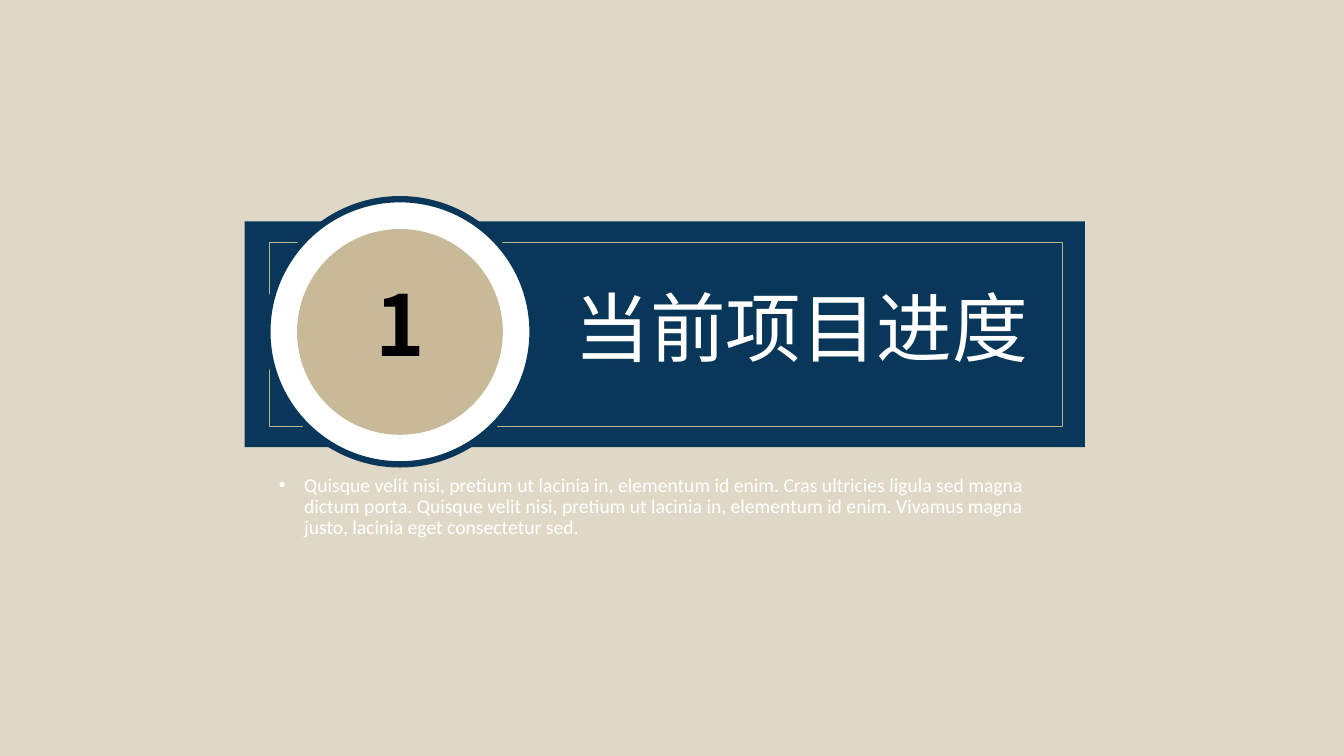
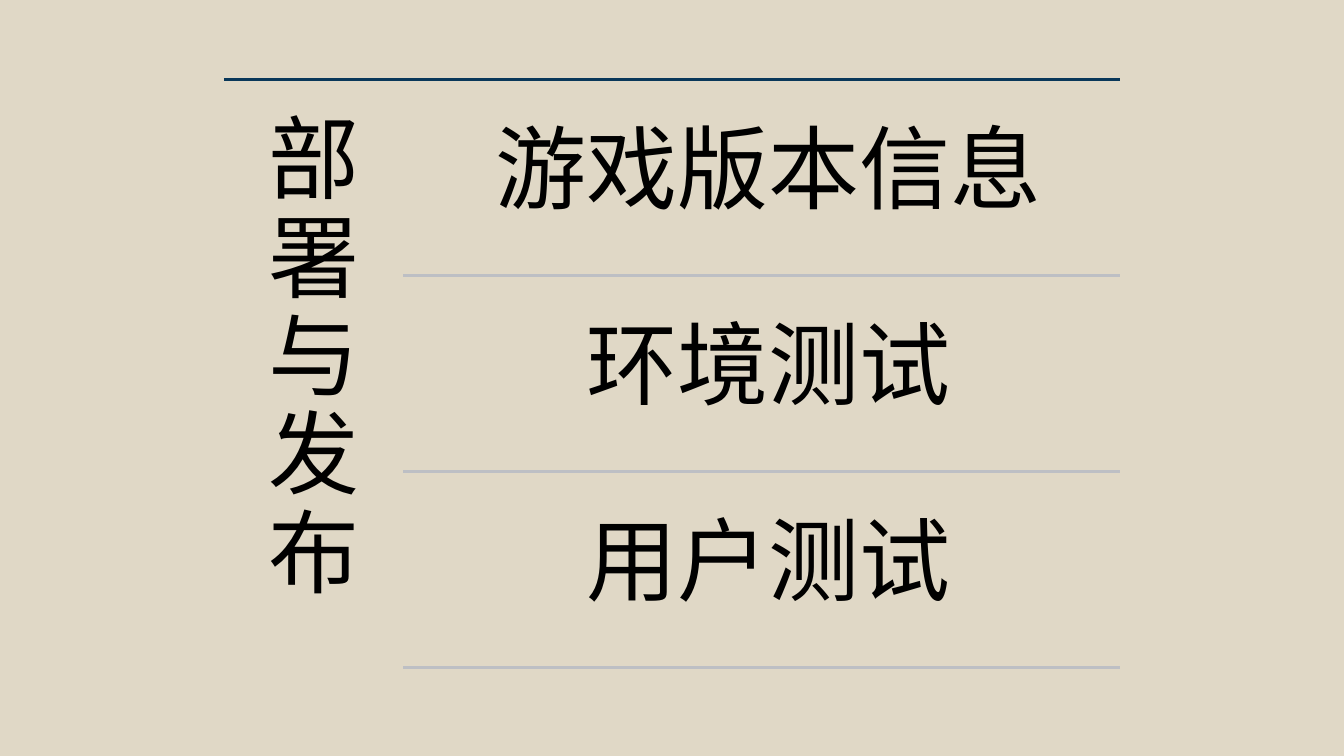
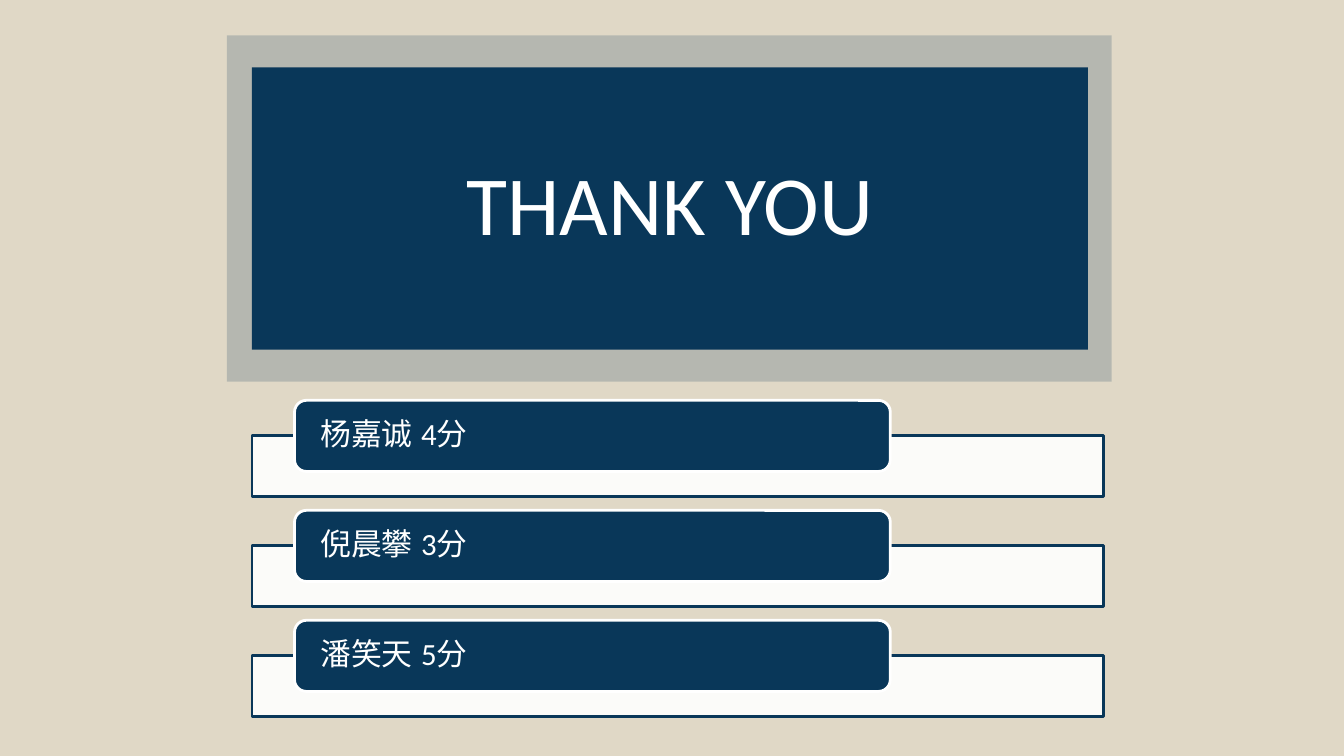
import pptx
import pptx.dml.color
import pptx.enum.shapes
import pptx.enum.text
import pptx.oxml
import pptx.oxml.ns
import pptx.util

Pt = pptx.util.Pt
RGBColor = pptx.dml.color.RGBColor
SHAPES = pptx.enum.shapes.MSO_SHAPE
ALIGN = pptx.enum.text.PP_ALIGN
ANCHOR = pptx.enum.text.MSO_ANCHOR
qn = pptx.oxml.ns.qn

SAND = RGBColor(0xE0, 0xD8, 0xC6)
NAVY = RGBColor(0x09, 0x37, 0x59)
TAN = RGBColor(0xC8, 0xB9, 0x98)
GOLD = RGBColor(0xBB, 0xB4, 0x87)
GRAY = RGBColor(0xBD, 0xBF, 0xC4)
WHITE = RGBColor(0xFF, 0xFF, 0xFF)
BLACK = RGBColor(0x00, 0x00, 0x00)

LATIN = "Calibri"
CHINESE = "Noto Sans CJK SC"
DIAGRAM = "Noto Sans CJK JP"
INSETS = (7.2, 3.6, 7.2, 3.6)


def add_element(parent, tag, **attributes):
    element = pptx.oxml.parse_xml(f"<{tag} {pptx.oxml.ns.nsdecls('a')}/>")
    for name, value in attributes.items():
        element.set(name, value)
    parent.append(element)


class Deck:
    def __init__(self):
        self.presentation = pptx.Presentation()
        self.presentation.slide_width = Pt(960)
        self.presentation.slide_height = Pt(540)
        background = self.presentation.slide_master.background.fill
        background.solid()
        background.fore_color.rgb = SAND
        self.slide = None

    def new_slide(self):
        self.slide = self.presentation.slides.add_slide(self.presentation.slide_layouts[6])

    def shape(self, kind, left, top, width, height, fill=None, opacity=100, line=None, weight=2):
        shape = self.slide.shapes.add_shape(kind, Pt(left), Pt(top), Pt(width), Pt(height))
        shape.shadow.inherit = False
        if fill is None:
            shape.fill.background()
        else:
            shape.fill.solid()
            shape.fill.fore_color.rgb = fill
            if opacity < 100:
                color = shape._element.spPr.find(f"{qn('a:solidFill')}/{qn('a:srgbClr')}")
                add_element(color, "a:alpha", val=str(opacity * 1000))
        if line is None:
            shape.line.fill.background()
        else:
            shape.line.color.rgb = line
            shape.line.width = Pt(weight)
        return shape

    def rule(self, left, right, top, color):
        connector = self.slide.shapes.add_connector(
            pptx.enum.shapes.MSO_CONNECTOR.STRAIGHT, Pt(left), Pt(top), Pt(right), Pt(top))
        connector.line.color.rgb = color
        connector.line.width = Pt(2)
        add_element(connector._element.spPr, "a:effectLst")

    def label(self, shape, text, size, color=WHITE, font=LATIN, chinese=CHINESE, bold=False,
              align=ALIGN.CENTER, anchor=ANCHOR.MIDDLE, insets=INSETS, spacing=0.9):
        frame = shape.text_frame
        frame.word_wrap = True
        frame.vertical_anchor = anchor
        frame.margin_left, frame.margin_top, frame.margin_right, frame.margin_bottom = map(Pt, insets)
        paragraph = frame.paragraphs[0]
        paragraph.alignment = align
        paragraph.line_spacing = spacing
        run = paragraph.add_run()
        run.text = text
        run.font.name = font
        run.font.size = Pt(size)
        run.font.bold = bold
        run.font.color.rgb = color
        add_element(run._r.rPr, "a:ea", typeface=chinese)
        return paragraph

    def text(self, left, top, width, height, text, size, **style):
        box = self.slide.shapes.add_textbox(Pt(left), Pt(top), Pt(width), Pt(height))
        return self.label(box, text, size, **style)

    def bullet(self, paragraph, indent):
        properties = paragraph._p.get_or_add_pPr()
        properties.set("marL", str(Pt(indent)))
        properties.set("indent", str(-Pt(indent)))
        add_element(properties, "a:buFont", typeface="Arial")
        add_element(properties, "a:buChar", char="•")


def section_slide(deck):
    deck.new_slide()
    deck.shape(SHAPES.RECTANGLE, 174.8, 158.2, 600.2, 161.2, NAVY)
    deck.shape(SHAPES.RECTANGLE, 192.4, 173, 566.6, 131.8, line=GOLD, weight=0.5)
    deck.shape(SHAPES.OVAL, 191, 142.3, 189.4, 189.4, WHITE, line=NAVY, weight=4.5)
    deck.shape(SHAPES.OVAL, 212.2, 163.6, 147, 147, TAN)
    summary = deck.text(
        192.2, 336.2, 566.6, 118,
        "Quisque velit nisi, pretium ut lacinia in, elementum id enim. "
        "Cras ultricies ligula sed magna dictum porta. Quisque velit nisi, "
        "pretium ut lacinia in, elementum id enim. Vivamus magna justo, "
        "lacinia eget consectetur sed.",
        14, align=ALIGN.LEFT, anchor=ANCHOR.TOP)
    deck.bullet(summary, 18)
    deck.text(375, 187.2, 394.6, 100, "当前项目进度", 54)
    deck.text(212.2, 160, 147, 150.5, "1", 60, color=BLACK, font=CHINESE, bold=True)


def release_slide(deck):
    deck.new_slide()
    style = dict(color=BLACK, font=DIAGRAM, chinese=DIAGRAM, anchor=ANCHOR.TOP,
                 insets=(19.4, 24, 19.4, 19.4), spacing=Pt(70.2))
    deck.rule(160, 800, 56.6, NAVY)
    deck.text(160, 56.6, 128, 427, "部署与发布", 65, **style)
    for index, step in enumerate(("游戏版本信息", "环境测试", "用户测试")):
        top = 63.4 + 140 * index
        deck.text(297.6, top, 502.4, 133.2, step, 65, **style)
        deck.rule(288, 800, top + 133.2, GRAY)


def closing_slide(deck):
    deck.new_slide()
    deck.shape(SHAPES.RECTANGLE, 162, 25.2, 632, 247.5, NAVY, opacity=20)
    banner = deck.shape(SHAPES.RECTANGLE, 180, 48.2, 597, 201.6, NAVY)
    deck.label(banner, "THANK YOU", 60)
    for index, score in enumerate(("杨嘉诚\t4分", "倪晨攀\t3分", "潘笑天\t5分")):
        top = 286 + 78.55 * index
        deck.shape(SHAPES.RECTANGLE, 180, top + 25, 608, 43.8, WHITE, opacity=90, line=NAVY)
        tab = deck.shape(SHAPES.ROUNDED_RECTANGLE, 210.4, top, 425.6, 50.8, NAVY, line=WHITE)
        deck.label(tab, score, 22, align=ALIGN.LEFT, insets=(16, 0, 16, 0))


def main():
    deck = Deck()
    section_slide(deck)
    release_slide(deck)
    closing_slide(deck)
    deck.presentation.save("out.pptx")


if __name__ == "__main__":
    main()
